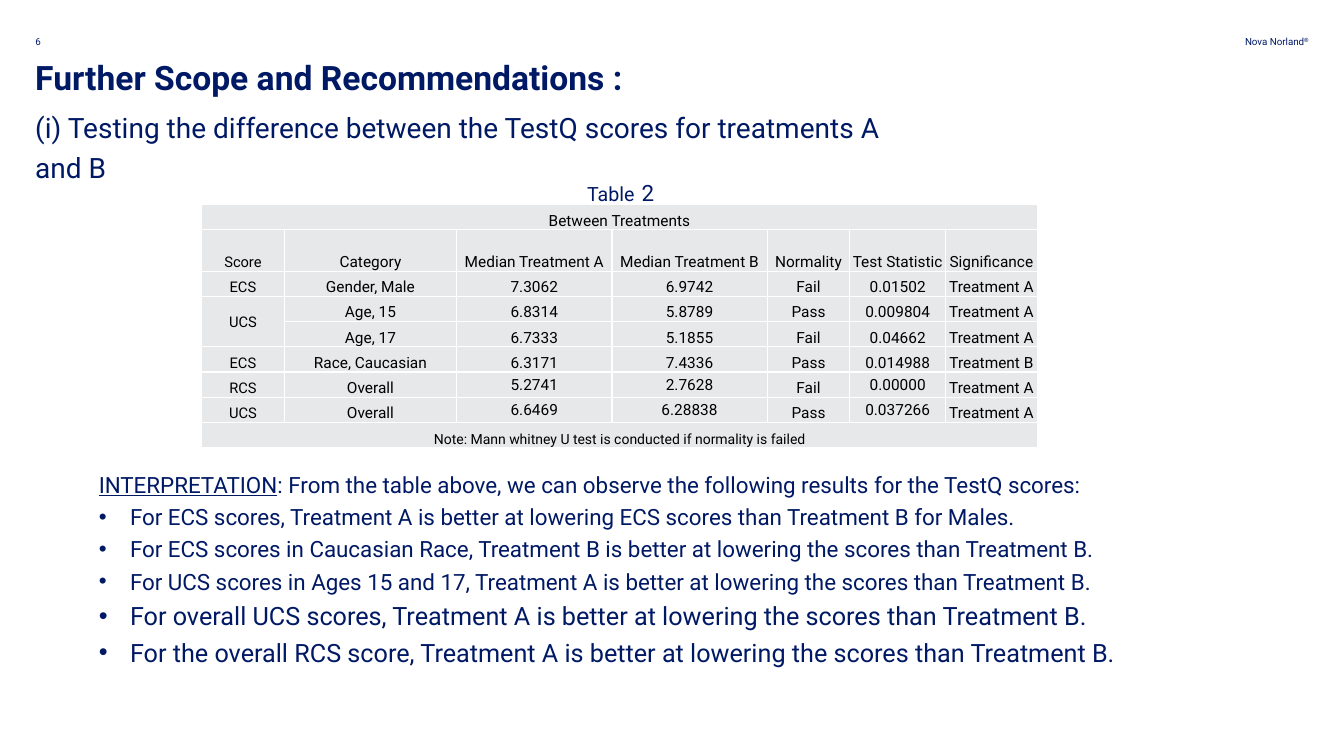
from lxml.etree import SubElement as Sub
from pptx import Presentation
from pptx.dml.color import RGBColor as RGB
from pptx.enum.text import MSO_ANCHOR as Anchor, PP_ALIGN as Align
from pptx.oxml.ns import qn
from pptx.util import Inches, Pt

THEME = {
    "font": "Roboto", "navy": "001965", "black": "000000",
    "gray": "E7E8EA", "white": "FFFFFF",
    "tiny": 7, "note": 10, "score": 10.5, "cell": 11, "label": 14,
    "body": 16, "large": 18, "sub": 20, "title": 24,
}

BRAND = [("Nova Norland", {}), ("®", {"raised": True})]
PAGE = "6"
TITLE = "Further Scope and Recommendations :"
SUB = "(i) Testing the difference between the TestQ scores for treatments A and B"
LABEL = [("Table", {}), (" ", {"size": "sub"}), ("2", {"size": "body"})]

LEAD = [
    ("INTERPRETATION", {"under": True}),
    (": From the table above, we can observe the following results for the TestQ scores:", {}),
]
POINTS = [
    ("For ECS scores, Treatment A is better at lowering ECS scores than Treatment B for Males.", "body"),
    ("For ECS scores in Caucasian Race, Treatment B is better at lowering the scores than Treatment B.", "body"),
    ("For UCS scores in Ages 15 and 17, Treatment A is better at lowering the scores than Treatment B.", "body"),
    ("For overall UCS scores, Treatment A is better at lowering the scores than Treatment B.", "large"),
    ("For the overall RCS score, Treatment A is better at lowering the scores than Treatment B.", "large"),
]

HEAD = "Between Treatments"
ROWS = [
    ("Score", "Category", "Median Treatment A", "Median Treatment B", "Normality", "Test Statistic", "Significance"),
    ("ECS", "Gender, Male", "7.3062", "6.9742", "Fail", "0.01502", "Treatment A"),
    ("UCS", "Age, 15", "6.8314", "5.8789", "Pass", "0.009804", "Treatment A"),
    ("", "Age, 17", "6.7333", "5.1855", "Fail", "0.04662", "Treatment A"),
    ("ECS", "Race, Caucasian", "6.3171", "7.4336", "Pass", "0.014988", "Treatment B"),
    ("RCS", "Overall", "5.2741", "2.7628", "Fail", "0.00000", "Treatment A"),
    ("UCS", "Overall", "6.6469", "6.28838", "Pass", "0.037266", "Treatment A"),
]
NOTE = "Note: Mann whitney U test is conducted if normality is failed"
WIDTHS = [0.82, 1.71, 1.54, 1.54, 0.82, 0.95, 0.91]
TALL, SHORT = 0.41, 0.25


def write(para, text, size="body", color="navy", align=Align.LEFT,
          space=None, bold=False, bullet=False):
    para.alignment = align
    if space:
        para.line_spacing = space
    if bullet:
        props = para._p.get_or_add_pPr()
        props.set("marL", str(Inches(0.31)))
        props.set("indent", str(-Inches(0.31)))
        Sub(props, qn("a:buFont"), typeface="Arial")
        Sub(props, qn("a:buChar"), char="•")
    for part, extra in [(text, {})] if isinstance(text, str) else text:
        run = para.add_run()
        run.text = part
        font = run.font
        font.name = THEME["font"]
        font.size = Pt(THEME[extra.get("size", size)])
        font.color.rgb = RGB.from_string(THEME[color])
        font.bold = bold
        if extra.get("under"):
            font.underline = True
        if extra.get("raised"):
            run._r.get_or_add_rPr().set("baseline", "30000")


def add_box(slide, left, top, width, height, wrap=True):
    box = slide.shapes.add_textbox(Inches(left), Inches(top), Inches(width), Inches(height))
    frame = box.text_frame
    frame.word_wrap = wrap
    frame.margin_left = frame.margin_right = frame.margin_top = frame.margin_bottom = 0
    return frame


def style(cell):
    cell.margin_left = cell.margin_right = cell.margin_top = Inches(0.01)
    cell.margin_bottom = 0
    cell.vertical_anchor = Anchor.BOTTOM
    props = cell._tc.get_or_add_tcPr()
    for side in ("lnL", "lnR", "lnT", "lnB"):
        line = Sub(props, qn("a:" + side), w=str(Pt(1)))
        Sub(Sub(line, qn("a:solidFill")), qn("a:srgbClr"), val=THEME["white"])
    cell.fill.solid()
    cell.fill.fore_color.rgb = RGB.from_string(THEME["gray"])


def add_grid(slide):
    last = len(ROWS) + 1
    end = len(WIDTHS) - 1
    highs = [SHORT, TALL] + [SHORT] * (last - 1)
    grid = slide.shapes.add_table(
        last + 1, end + 1, Inches(2), Inches(2.03), Inches(sum(WIDTHS)), Inches(sum(highs))
    ).table
    for col, width in zip(grid.columns, WIDTHS):
        col.width = Inches(width)
    for row, high in zip(grid.rows, highs):
        row.height = Inches(high)
    for cell in grid.iter_cells():
        style(cell)

    for row, text, size in ((0, HEAD, "cell"), (last, NOTE, "note")):
        grid.cell(row, 0).merge(grid.cell(row, end))
        write(grid.cell(row, 0).text_frame.paragraphs[0], text,
              size=size, color="black", align=Align.CENTER)
    grid.cell(3, 0).merge(grid.cell(4, 0))
    grid.cell(3, 0).vertical_anchor = Anchor.MIDDLE

    for r, row in enumerate(ROWS, 1):
        for c, text in enumerate(row):
            if not text:
                continue
            cell = grid.cell(r, c)
            if row[1] == "Overall" and c in (2, 3, 5):
                cell.vertical_anchor = Anchor.MIDDLE
            write(cell.text_frame.paragraphs[0], text, color="black",
                  size="cell" if c else "score", align=Align.CENTER)


def main():
    deck = Presentation()
    deck.slide_width, deck.slide_height = Inches(13.33), Inches(7.5)
    slide = deck.slides.add_slide(deck.slide_layouts[6])

    boxes = [
        ((11.98, 0.35, 1, 0.12), BRAND, {"size": "tiny", "align": Align.RIGHT}),
        ((0.35, 0.35, 0.35, 0.14), PAGE, {"size": "tiny"}),
        ((0.35, 0.48, 6.86, 0.45), TITLE, {"size": "title", "bold": True, "space": 1.2}),
        ((0.35, 1.03, 8.46, 0.78), SUB, {"size": "sub", "space": 1.2}),
        ((4.58, 1.65, 3.15, 0.38), LABEL, {"size": "label", "align": Align.CENTER, "space": 1.2}),
    ]
    for place, text, form in boxes:
        write(add_box(slide, *place).paragraphs[0], text, **form)

    frame = add_box(slide, 0.98, 4.62, 11.37, 2.72)
    write(frame.paragraphs[0], LEAD, space=1.2)
    for text, size in POINTS:
        write(frame.add_paragraph(), text, size=size, space=1.2, bullet=True)

    add_grid(slide)
    deck.save("out.pptx")


if __name__ == "__main__":
    main()
